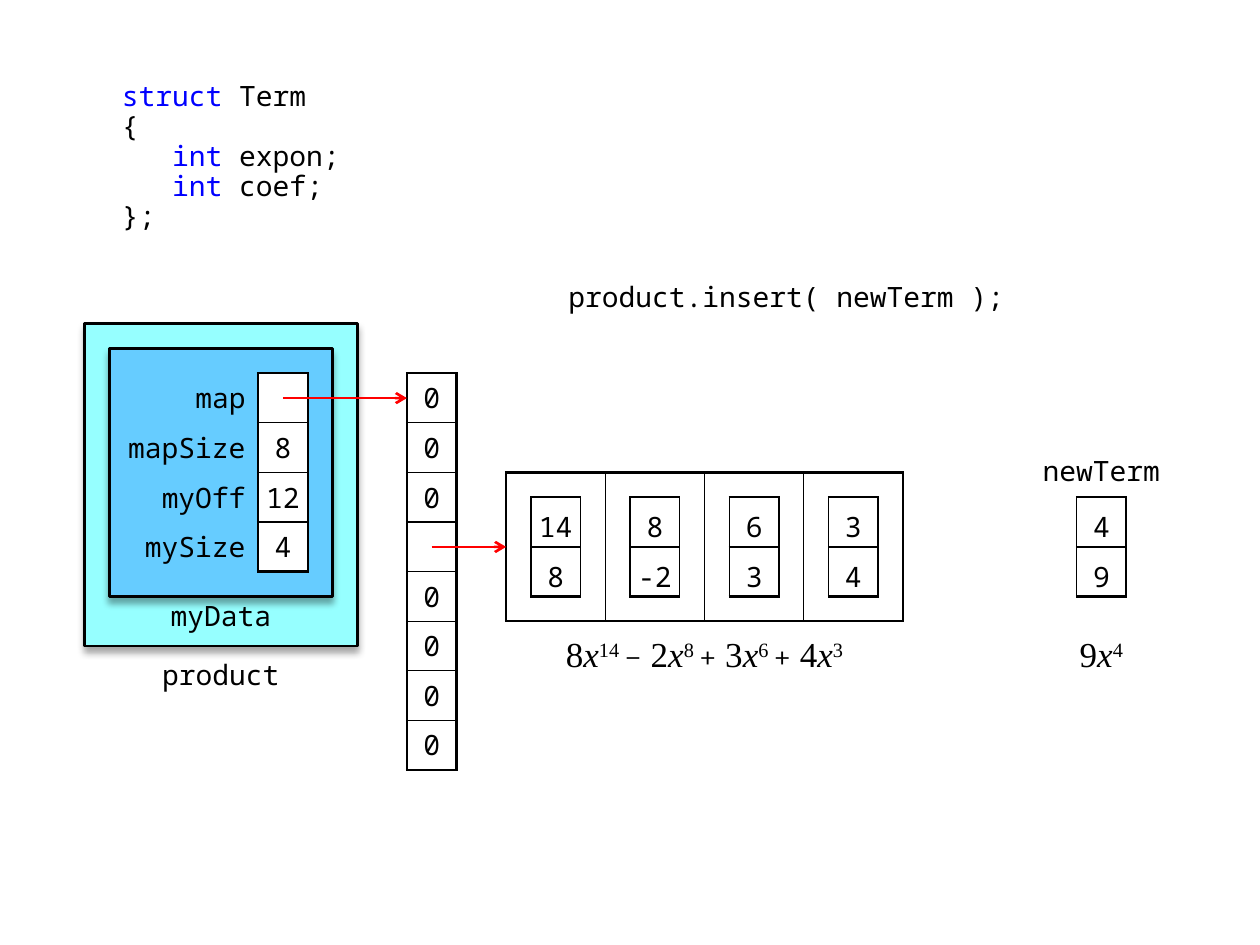
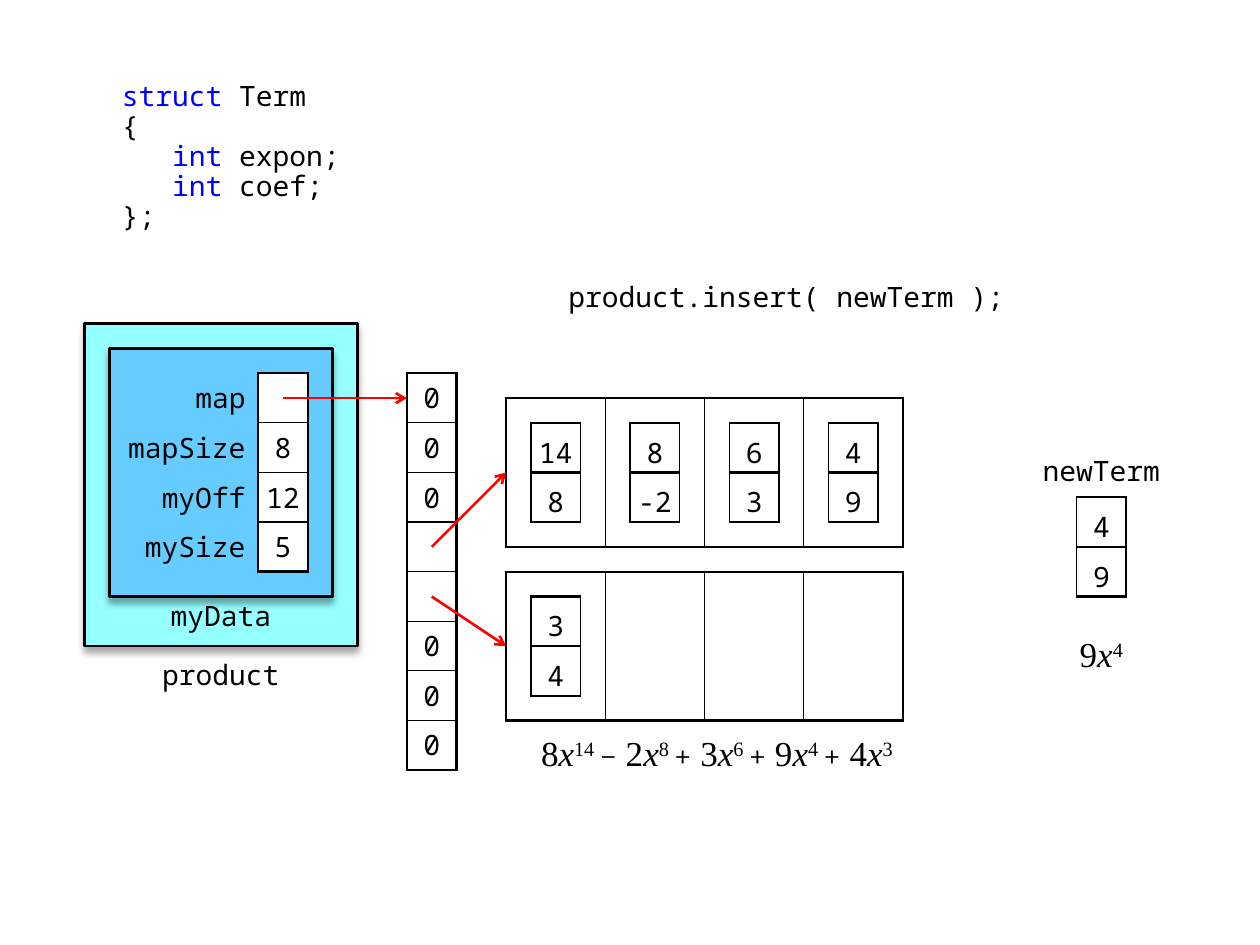
from dataclasses import dataclass
from typing import NamedTuple

from lxml import etree
from pptx import Presentation
from pptx.dml.color import RGBColor as RGB
from pptx.enum.shapes import MSO_CONNECTOR as Link, MSO_SHAPE as Form
from pptx.enum.text import MSO_ANCHOR as Anchor, MSO_AUTO_SIZE as Fit, PP_ALIGN as Align
from pptx.oxml.ns import qn
from pptx.util import Inches, Pt


@dataclass(frozen=True)
class Theme:
    ink: str = "000000"
    key: str = "0000FF"
    arrow: str = "FF0000"
    outer: str = "96FFFF"
    inner: str = "66CCFF"
    paper: str = "FFFFFF"
    mono: str = "Noto Sans Mono"
    math: str = "Times New Roman"
    sign: str = "Cambria"
    code_pt: int = 16
    math_pt: int = 20
    sign_pt: int = 18
    line_pt: float = 1.5


class Rect(NamedTuple):
    """Place and size in grid steps of one centimetre."""
    x: float
    y: float
    w: float
    h: float


class Term(NamedTuple):
    expon: int
    coef: int


class Rule(NamedTuple):
    """Border widths in points."""
    side: float
    cap: float
    inner: float


class Inset(NamedTuple):
    left: float
    top: float
    right: float
    bottom: float


class Block(NamedTuple):
    """One memory block: its top, its slot in the map and its terms."""
    y: float
    slot: int
    terms: list[Term]


class State(NamedTuple):
    size: int
    blocks: list[Block]
    sum_at: Rect


T = Theme()
MAP_RULE = Rule(1.5, 1.5, 0.75)
TERM_RULE = Rule(1, 1.5, 1.5)
BLOCK_RULE = Rule(1.5, 1.5, 1)
PLAIN = Inset(0, 0, 0, 0)
CELL = Inset(0, 0.04, 0, 0.04)
NAME = Inset(0.1, 0.04, 0.1, 0.04)
MATH = Inset(0.08, 0.12, 0.08, 0)

SLOTS = 8
MAP_X, MAP_Y = 8, 7.5
BLOCK_X = 10
CODE = [("", "struct ", "Term"), ("", "", "{"), ("   ", "int ", "expon;"),
        ("   ", "int ", "coef;"), ("", "", "};")]

FIRST = [Term(14, 8), Term(8, -2), Term(6, 3)]
LAST, NEW = Term(3, 4), Term(4, 9)
STATES = [
    State(4, [Block(9.5, 3, FIRST + [LAST])], Rect(10, 12.5, 8, 1)),
    State(5, [Block(8, 3, FIRST + [NEW]), Block(11.5, 4, [LAST])], Rect(9.5, 14.5, 9.5, 1)),
]


# Grid
def step(n: float) -> int:
    return Inches(n / 2.54)


def left(n: float) -> int:
    return Inches(0.08) + step(n)


def top(n: float) -> int:
    return Inches(0.01) + step(n)


def place(r: Rect) -> tuple[int, int, int, int]:
    return left(r.x), top(r.y), step(r.w), step(r.h)


# Text
def style(run, face: str = T.mono, size: int = T.code_pt, color: str = T.ink) -> None:
    run.font.name, run.font.size = face, Pt(size)
    run.font.color.rgb = RGB.from_string(color)


def pad(box, gap: Inset) -> None:
    box.margin_left, box.margin_top = Inches(gap.left), Inches(gap.top)
    box.margin_right, box.margin_bottom = Inches(gap.right), Inches(gap.bottom)


def note(slide, at: Rect, text: str, gap: Inset, anchor=Anchor.MIDDLE):
    frame = slide.shapes.add_textbox(*place(at)).text_frame
    frame.word_wrap = True
    frame.vertical_anchor = anchor
    pad(frame, gap)
    frame.text = text
    para = frame.paragraphs[0]
    para.alignment = Align.CENTER
    for run in para.runs:
        style(run)
    return para


def formula(slide, at: Rect, terms: list[Term]) -> None:
    para = note(slide, at, "", MATH)

    def add(text: str, face: str = T.math, size: int = T.math_pt):
        run = para.add_run()
        run.text = text
        style(run, face, size)
        return run

    for i, term in enumerate(terms):
        if i:
            add("−" if term.coef < 0 else "+", T.sign, T.sign_pt)
        add(f" {abs(term.coef)}" if i else str(term.coef))
        add("x").font.italic = True
        power = add(f"{term.expon} " if i < len(terms) - 1 else str(term.expon))
        power.font._element.set("baseline", "30000")


def listing(shape, at: Rect, lines: list[tuple[str, str, str]], anchor=Anchor.TOP) -> None:
    shape.left, shape.top, shape.width, shape.height = place(at)
    frame = shape.text_frame
    frame.auto_size, frame.word_wrap = Fit.NONE, True
    frame.vertical_anchor = anchor
    pad(frame, Inset(0.1, 0.05, 0, 0.05))
    for i, (lead, key, rest) in enumerate(lines):
        para = frame.add_paragraph() if i else frame.paragraphs[0]
        props = para._p.get_or_add_pPr()
        props.set("marL", "0")
        props.set("indent", "0")
        etree.SubElement(props, qn("a:buNone"))
        para.line_spacing, para.space_before = 0.9, Pt(0)
        for text, color in ((lead, T.ink), (key, T.key), (rest, T.ink)):
            if text:
                run = para.add_run()
                run.text = text
                style(run, color=color)


# Shapes and arrows
def panel(slide, at: Rect, fill: str) -> None:
    shape = slide.shapes.add_shape(Form.FLOWCHART_PROCESS, *place(at))
    shape.fill.solid()
    shape.fill.fore_color.rgb = RGB.from_string(fill)
    shape.line.color.rgb = RGB.from_string(T.ink)
    shape.line.width = Pt(T.line_pt)
    shape.shadow.inherit = False
    effects = shape._element.spPr.find(qn("a:effectLst"))
    shade = etree.SubElement(effects, qn("a:outerShdw"), blurRad=str(Pt(4)),
                             dist=str(Pt(3)), dir="5400000", rotWithShape="0")
    color = etree.SubElement(shade, qn("a:srgbClr"), val=T.ink)
    etree.SubElement(color, qn("a:alpha"), val="35000")


def arrow(slide, x1: float, y1: float, x2: float, y2: float) -> None:
    line = slide.shapes.add_connector(Link.STRAIGHT, left(x1), top(y1), left(x2), top(y2))
    line.line.color.rgb = RGB.from_string(T.arrow)
    line.line.width = Pt(T.line_pt)
    etree.SubElement(line.line._ln, qn("a:tailEnd"), type="arrow")
    etree.SubElement(line._element.spPr, qn("a:effectLst"))


# Tables
def border(cell, widths: tuple[float, float, float, float]) -> None:
    """Set left, right, top and bottom lines; zero means none."""
    props = cell._tc.get_or_add_tcPr()
    for i, (side, width) in enumerate(zip("LRTB", widths)):
        line = etree.Element(qn(f"a:ln{side}"), w=str(Pt(width)))
        if width:
            fill = etree.SubElement(line, qn("a:solidFill"))
            etree.SubElement(fill, qn("a:srgbClr"), val=T.ink)
        else:
            etree.SubElement(line, qn("a:noFill"))
        props.insert(i, line)


def fill_cell(cell, text: str, gap: Inset, align=Align.CENTER, fill: str = "",
              space: float = 1) -> None:
    if fill:
        cell.fill.solid()
        cell.fill.fore_color.rgb = RGB.from_string(fill)
    else:
        cell.fill.background()
    cell.vertical_anchor = Anchor.MIDDLE
    pad(cell, gap)
    cell.text = text
    para = cell.text_frame.paragraphs[0]
    para.alignment, para.line_spacing = align, space
    for run in para.runs:
        style(run)


def grid(slide, at: Rect, rows: int, cols: int):
    table = slide.shapes.add_table(rows, cols, *place(at)).table
    table.first_row = table.horz_banding = False
    return table


def cells(slide, at: Rect, rows: list[list[str]], rule: Rule, gap: Inset,
          space: float = 1) -> None:
    high, wide = len(rows), len(rows[0])
    table = grid(slide, at, high, wide)
    for r, row in enumerate(rows):
        for c, text in enumerate(row):
            fill_cell(table.cell(r, c), text, gap, space=space)
            border(table.cell(r, c), (
                rule.inner if c else rule.side, rule.inner if c < wide - 1 else rule.side,
                rule.inner if r else rule.cap, rule.inner if r < high - 1 else rule.cap))


def pair(slide, x: float, y: float, term: Term) -> None:
    cells(slide, Rect(x, y, 1, 2), [[str(n)] for n in term], TERM_RULE, PLAIN, 1.25)


def fields(slide, size: int) -> None:
    rows = [("map", ""), ("mapSize", str(SLOTS)), ("myOff", "12"), ("mySize", str(size))]
    table = grid(slide, Rect(2, MAP_Y, 4, len(rows)), len(rows), 2)
    table.columns[0].width, table.columns[1].width = step(3), step(1)
    rule, last = MAP_RULE, len(rows) - 1
    for r, (name, value) in enumerate(rows):
        fill_cell(table.cell(r, 0), name, NAME, Align.RIGHT)
        border(table.cell(r, 0), (0, rule.side, 0, 0))
        fill_cell(table.cell(r, 1), value, CELL, fill=T.paper)
        border(table.cell(r, 1), (rule.side, rule.side, rule.inner if r else rule.cap,
                                  rule.inner if r < last else rule.cap))


def draw(slide, state: State) -> None:
    # Code
    slide.shapes.title._element.getparent().remove(slide.shapes.title._element)
    code, call = slide.placeholders
    listing(code, Rect(2, 1.5, 5, 4), CODE)
    listing(call, Rect(11, 5.5, 9.5, 1), [("", "", "product.insert( newTerm );")], Anchor.MIDDLE)

    # Product object
    panel(slide, Rect(1.5, 6.5, 5.5, 6.5), T.outer)
    panel(slide, Rect(2, 7, 4.5, 5), T.inner)
    note(slide, Rect(2.5, 13, 3.5, 1), "product", Inset(0.08, 0.05, 0.08, 0.04), Anchor.BOTTOM)
    note(slide, Rect(3, 12, 2.5, 1), "myData", Inset(0.08, 0.02, 0.08, 0), Anchor.TOP)
    fields(slide, state.size)

    # Map of blocks
    used = {block.slot for block in state.blocks}
    slots = [["" if i in used else "0"] for i in range(SLOTS)]
    cells(slide, Rect(MAP_X, MAP_Y, 1, SLOTS), slots, MAP_RULE, CELL)
    arrow(slide, 5.5, MAP_Y + 0.5, MAP_X, MAP_Y + 0.5)

    # Blocks with their terms
    for block in state.blocks:
        cells(slide, Rect(BLOCK_X, block.y, 8, 3), [[""] * 4], BLOCK_RULE, PLAIN)
        for i, term in enumerate(block.terms):
            pair(slide, BLOCK_X + 0.5 + 2 * i, block.y + 0.5, term)
        arrow(slide, MAP_X + 0.5, MAP_Y + block.slot + 0.5, BLOCK_X, block.y + 1.5)
    formula(slide, state.sum_at, [term for block in state.blocks for term in block.terms])

    # New term
    note(slide, Rect(20.5, 9, 3, 1), "newTerm", Inset(0.08, 0, 0.08, 0.04))
    pair(slide, 21.5, 10, NEW)
    formula(slide, Rect(21, 12.5, 2, 1), [NEW])


def main() -> None:
    deck = Presentation()
    deck.slide_width, deck.slide_height = Inches(10), Inches(7.5)
    for state in STATES:
        draw(deck.slides.add_slide(deck.slide_layouts[3]), state)
    deck.save("out.pptx")


if __name__ == "__main__":
    main()
